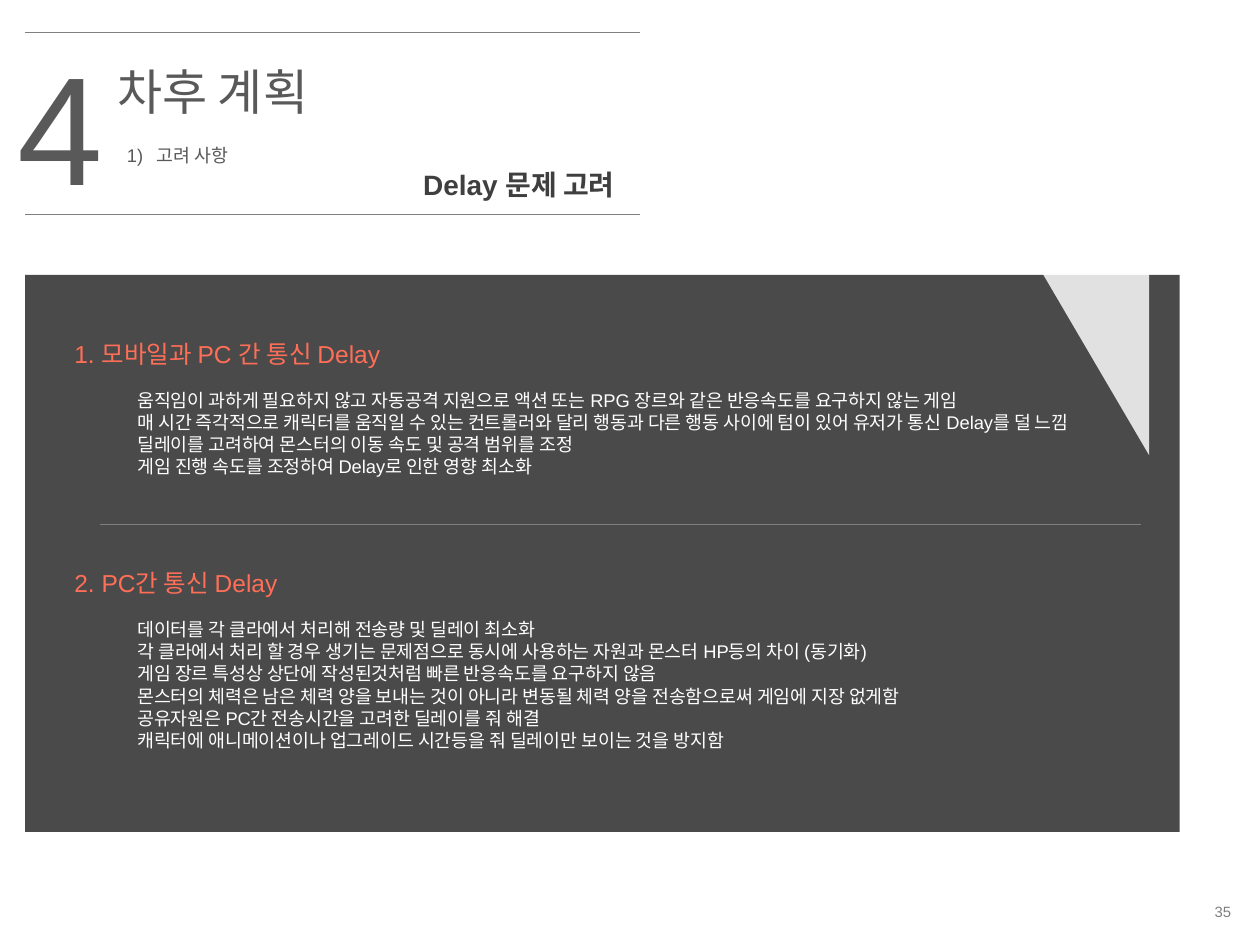
from lxml.etree import SubElement
from pptx import Presentation
from pptx.dml.color import RGBColor
from pptx.enum.shapes import MSO_CONNECTOR, MSO_SHAPE
from pptx.enum.text import MSO_ANCHOR, PP_ALIGN
from pptx.oxml.ns import qn
from pptx.util import Cm, Pt

GRAY, RULE, CORAL, WHITE = "595959", "7F7F7F", "FF6E57", "FFFFFF"

MOBILE_DELAY = (
    "움직임이 과하게 필요하지 않고 자동공격 지원으로 액션 또는 RPG 장르와 같은 반응속도를 요구하지 않는 게임",
    "매 시간 즉각적으로 캐릭터를 움직일 수 있는 컨트롤러와 달리 행동과 다른 행동 사이에 텀이 있어 유저가 통신 Delay를 덜 느낌",
    "딜레이를 고려하여 몬스터의 이동 속도 및 공격 범위를 조정",
    "게임 진행 속도를 조정하여 Delay로 인한 영향 최소화",
)
PC_DELAY = (
    "데이터를 각 클라에서 처리해 전송량 및 딜레이 최소화",
    "각 클라에서 처리 할 경우 생기는 문제점으로 동시에 사용하는 자원과 몬스터 HP등의 차이 (동기화)",
    "게임 장르 특성상 상단에 작성된것처럼 빠른 반응속도를 요구하지 않음",
    "몬스터의 체력은 남은 체력 양을 보내는 것이 아니라 변동될 체력 양을 전송함으로써 게임에 지장 없게함",
    "공유자원은 PC간 전송시간을 고려한 딜레이를 줘 해결",
    "캐릭터에 애니메이션이나 업그레이드 시간등을 줘 딜레이만 보이는 것을 방지함",
)


def color(value):
    """Turn a hex string into a colour."""
    return RGBColor.from_string(value)


def write(paragraph, text, size, shade, bold=False, margin=0, hanging=0, **layout):
    """Fill a paragraph with one formatted span."""
    properties = paragraph._p.get_or_add_pPr()
    properties.set("marL", str(Cm(margin)))
    properties.set("indent", str(-Cm(hanging)))
    for name, value in layout.items():
        setattr(paragraph, name, value)
    span = paragraph.add_run()
    span.text = text
    for name, value in {"size": Pt(size), "name": "Arial", "bold": bold}.items():
        setattr(span.font, name, value)
    span.font.color.rgb = color(shade)


def add_box(page, left, top, width, height, anchor=MSO_ANCHOR.TOP):
    """Add a wrapping text box and return its frame."""
    box = page.shapes.add_textbox(Cm(left), Cm(top), Cm(width), Cm(height))
    frame = box.text_frame
    frame.word_wrap = True
    frame.vertical_anchor = anchor
    return frame


def add_label(page, place, text, size, shade, anchor=MSO_ANCHOR.TOP, **format_values):
    """Add a text box with a single paragraph."""
    frame = add_box(page, *place, anchor=anchor)
    write(frame.paragraphs[0], text, size, shade, **format_values)


def add_section(page, top, height, heading, items):
    """Add a coloured heading with its indented lines."""
    frame = add_box(page, 1.25, top, 22.53, height)
    write(frame.paragraphs[0], heading, 14, CORAL, space_after=Pt(12))
    for item in items:
        write(frame.add_paragraph(), item, 10.5, WHITE, margin=1.27)


def add_rule(page, left, right, level):
    """Add a thin horizontal line."""
    rule = page.shapes.add_connector(
        MSO_CONNECTOR.STRAIGHT, Cm(left), Cm(level), Cm(right), Cm(level))
    rule.line.color.rgb = color(RULE)
    rule.line.width = Pt(0.75)
    SubElement(rule._element.spPr, qn("a:effectLst"))


def add_panel(page, kind, place, shade, opacity):
    """Add a translucent shape without outline."""
    panel = page.shapes.add_shape(kind, *map(Cm, place))
    panel.shadow.inherit = False
    panel.line.fill.background()
    panel.fill.solid()
    panel.fill.fore_color.rgb = color(shade)
    tone = panel._element.spPr.find(qn("a:solidFill"))[0]
    SubElement(tone, qn("a:alpha"), val=str(opacity * 1000))
    return panel


def main():
    """Build the slide and save the deck."""
    deck = Presentation()
    deck.slide_width, deck.slide_height = Cm(25.4), Cm(19.05)
    page = deck.slides.add_slide(deck.slide_layouts[6])

    add_label(page, (19.71, 18.03, 5.36, 0.69), "35", 8.5, RULE,
              anchor=MSO_ANCHOR.MIDDLE, alignment=PP_ALIGN.RIGHT)
    add_label(page, (2.11, 1.12, 11.4, 1.45), "차후 계획", 28, GRAY)
    add_label(page, (2.31, 2.51, 11.61, 1.47), "1)\t고려 사항", 10.5, GRAY,
              margin=0.6, hanging=0.6, line_spacing=1.62)
    add_label(page, (0.1, 0.51, 3, 4.01), "4", 88, GRAY)
    for level in (0.66, 4.32):
        add_rule(page, 0.51, 12.9, level)

    add_panel(page, MSO_SHAPE.RECTANGLE, (0.51, 5.54, 23.27, 11.23), "0C0C0C", 74)
    add_section(page, 6.71, 3.33, "1. 모바일과 PC 간 통신 Delay", MOBILE_DELAY)
    add_section(page, 11.33, 4.98, "2. PC간 통신 Delay", PC_DELAY)
    add_rule(page, 2.01, 23.01, 10.57)
    corner = add_panel(page, MSO_SHAPE.ISOSCELES_TRIANGLE,
                       (20.27, 6.28, 3.65, 2.14), WHITE, 84)
    corner.adjustments[0] = 1
    corner.rotation = 270
    add_label(page, (5.66, 3.25, 9.6, 1.27), "Delay 문제 고려", 16, "3F3F3F",
              bold=True, margin=0.95, hanging=0.95, alignment=PP_ALIGN.CENTER)
    deck.save("out.pptx")


if __name__ == "__main__":
    main()
